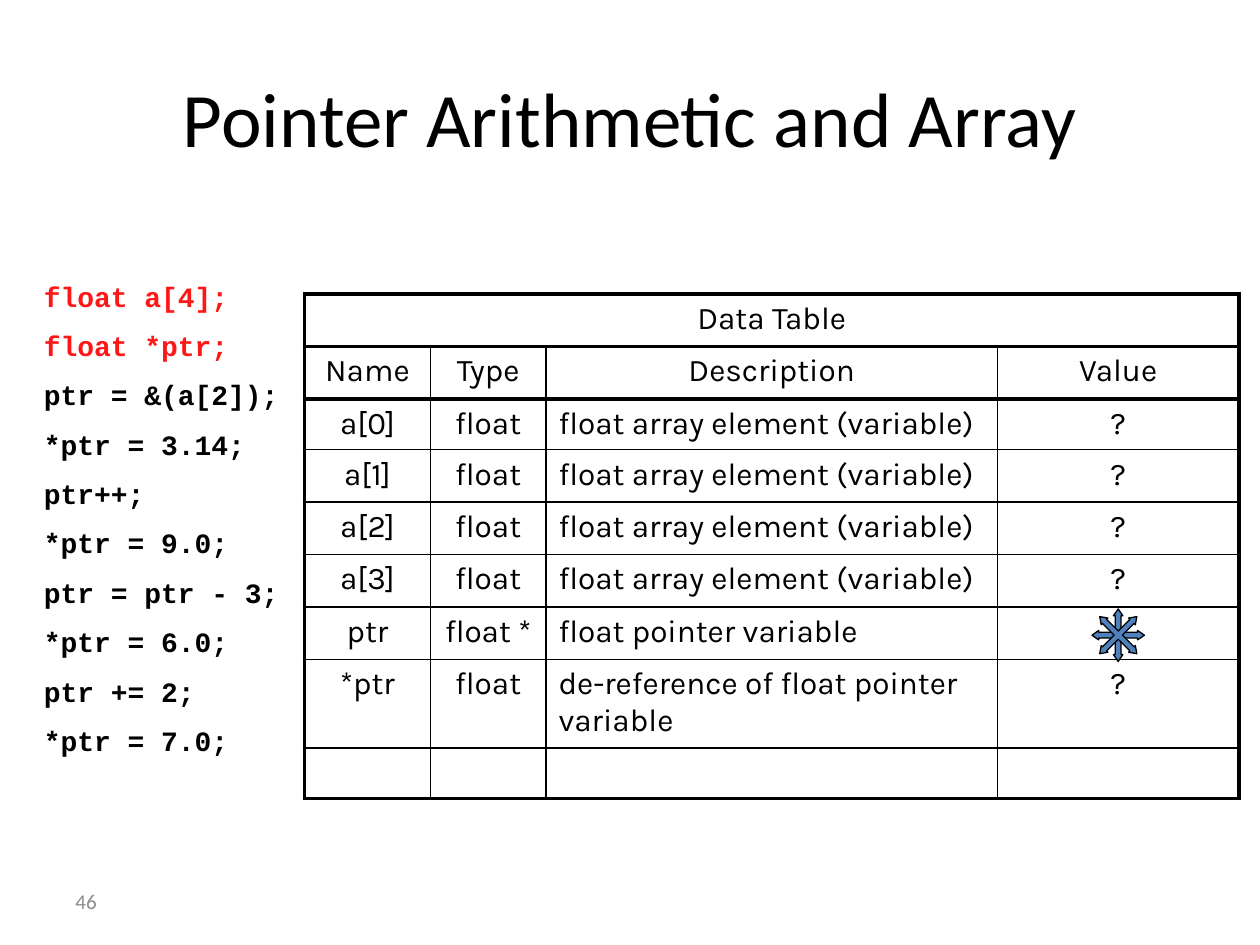
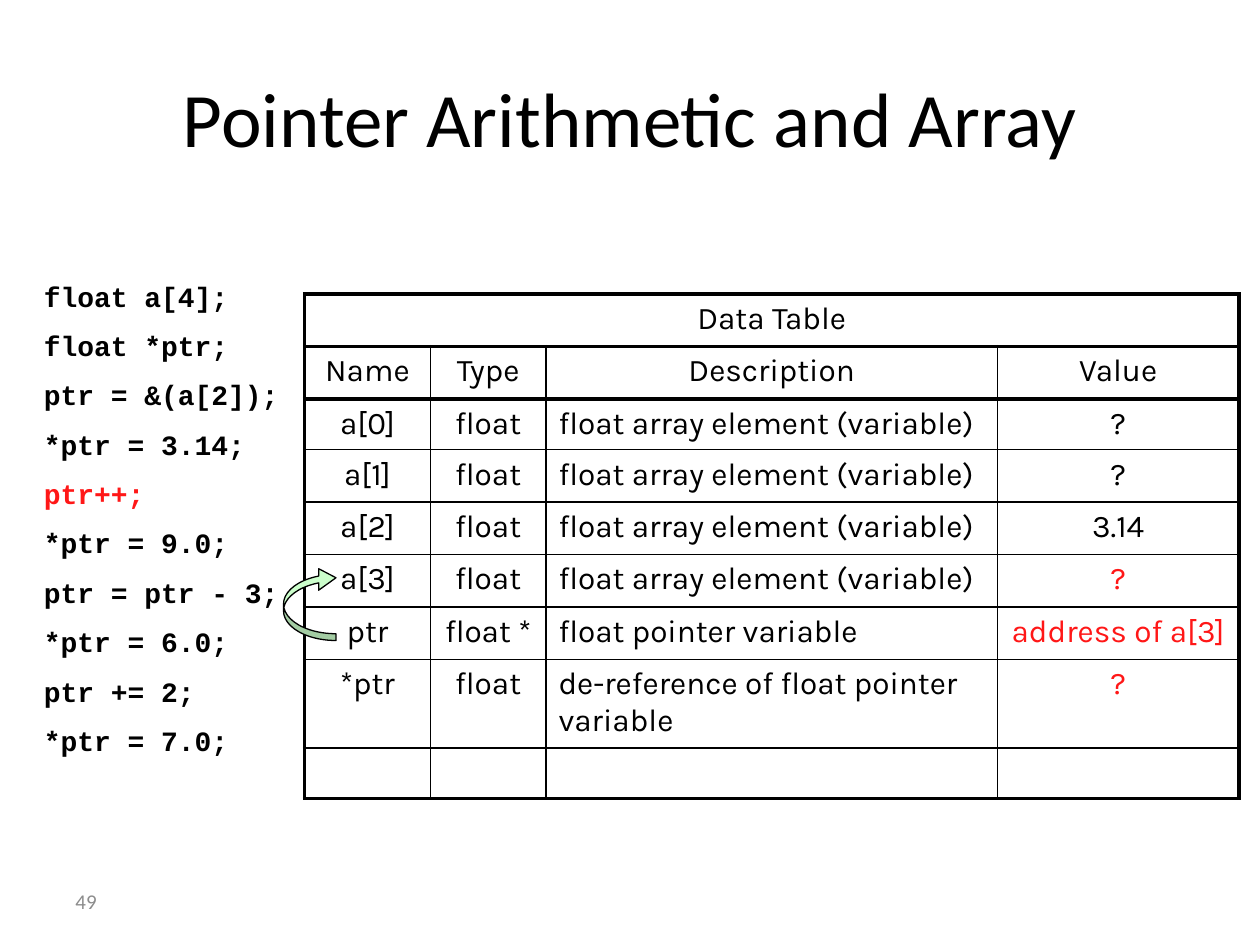
from lxml import etree
from pptx import Presentation
from pptx.dml.color import RGBColor
from pptx.enum import shapes, text
from pptx.oxml import ns
from pptx.util import Pt

BLACK = RGBColor(0x00, 0x00, 0x00)
RED = RGBColor(0xFF, 0x17, 0x17)
GREY = RGBColor(0x8C, 0x8C, 0x8C)
BLUE = RGBColor(0x4F, 0x81, 0xBD)
MINT = RGBColor(0xCC, 0xFF, 0xCC)

HEADING_FONT = "Calibri"
CODE_FONT = "Courier New"
TABLE_FONT = "Karla"

TITLE = "Pointer Arithmetic and Array"
TITLE_BOX = (36, 21.6, 648, 90)
CODE_BOX = (18, 156, 672, 286.5)
NUMBER_BOX = (36, 500.5, 168, 28.8)
TABLE_ORIGIN = (174, 168)

CODE = [
    "float a[4];",
    "float *ptr;",
    "ptr = &(a[2]);",
    "*ptr = 3.14;",
    "ptr++;",
    "*ptr = 9.0;",
    "ptr = ptr - 3;",
    "*ptr = 6.0;",
    "ptr += 2;",
    "*ptr = 7.0;",
]

ELEMENT = "float array element (variable)"
VARIABLES = [
    ("a[0]", "float", ELEMENT),
    ("a[1]", "float", ELEMENT),
    ("a[2]", "float", ELEMENT),
    ("a[3]", "float", ELEMENT),
    ("ptr", "float *", "float pointer variable"),
    ("*ptr", "float", "de-reference of float pointer variable"),
    ("", "", ""),
]
HEADINGS = ("Name", "Type", "Description", "Value")
COLUMN_WIDTHS = [72, 66, 258, 138]
ROW_HEIGHTS = [30, 30, 29, 30, 30, 30, 30, 50, 29]
DESCRIPTION, VALUE = 2, 3
POINTER_ROW = 6
THICK, THIN = 2.25, 1
THICK_RULES = {0, 1, 2, len(ROW_HEIGHTS)}


def points(box):
    return [Pt(length) for length in box]


def write(paragraph, content, font=TABLE_FONT, size=18, color=BLACK, bold=False,
          align=text.PP_ALIGN.LEFT, space_before=0):
    paragraph.alignment = align
    paragraph.space_before = Pt(space_before)
    run = paragraph.add_run()
    run.text = content
    run.font.name = font
    run.font.size = Pt(size)
    run.font.bold = bold
    run.font.color.rgb = color


def add_title(slide, box):
    title = slide.shapes.title
    title.left, title.top, title.width, title.height = points(box)
    title.text_frame.vertical_anchor = text.MSO_ANCHOR.MIDDLE
    write(title.text_frame.paragraphs[0], TITLE, font=HEADING_FONT, size=44,
          align=text.PP_ALIGN.CENTER)


def add_text_frame(slide, box):
    frame = slide.shapes.add_textbox(*points(box)).text_frame
    frame.word_wrap = True
    return frame


def add_number(slide, box, number):
    frame = add_text_frame(slide, box)
    frame.vertical_anchor = text.MSO_ANCHOR.MIDDLE
    write(frame.paragraphs[0], str(number), font=HEADING_FONT, size=12, color=GREY)


def add_code(slide, box, current_lines):
    """List the program, with the lines being executed in red."""
    frame = add_text_frame(slide, box)
    frame.auto_size = text.MSO_AUTO_SIZE.SHAPE_TO_FIT_TEXT
    for index, line in enumerate(CODE):
        paragraph = frame.add_paragraph() if index else frame.paragraphs[0]
        write(paragraph, line, font=CODE_FONT, size=16, bold=True,
              color=RED if line in current_lines else BLACK,
              space_before=9 if index else 0)


def set_borders(cell, left, right, top, bottom):
    """Give the cell black borders of the given widths."""
    properties = cell._tc.get_or_add_tcPr()
    widths = {"a:lnL": left, "a:lnR": right, "a:lnT": top, "a:lnB": bottom}
    for position, (tag, width) in enumerate(widths.items()):
        line = etree.Element(ns.qn(tag), w=str(Pt(width)))
        fill = etree.SubElement(line, ns.qn("a:solidFill"))
        etree.SubElement(fill, ns.qn("a:srgbClr"), val=str(BLACK))
        properties.insert(position, line)


def add_data_table(slide, origin, values, changed_rows):
    """Show the variables with their values, changed values in red."""
    rows = [("Data Table", "", "", ""), HEADINGS]
    rows += [(*variable, value) for variable, value in zip(VARIABLES, values)]
    box = (*origin, sum(COLUMN_WIDTHS), sum(ROW_HEIGHTS))
    table = slide.shapes.add_table(len(rows), len(HEADINGS), *points(box)).table
    table.first_row = table.horz_banding = False
    for column, width in zip(table.columns, COLUMN_WIDTHS):
        column.width = Pt(width)
    for row, height in zip(table.rows, ROW_HEIGHTS):
        row.height = Pt(height)
    table.cell(0, 0).merge(table.cell(0, VALUE))

    for r, row in enumerate(rows):
        for c, content in enumerate(row):
            cell = table.cell(r, c)
            cell.fill.background()
            set_borders(cell,
                        left=THICK if r == 0 or c == 0 else THIN,
                        right=THICK if r == 0 or c == VALUE else THIN,
                        top=THICK if r in THICK_RULES else THIN,
                        bottom=THICK if r + 1 in THICK_RULES else THIN)
            if cell.is_spanned:
                continue
            is_description = c == DESCRIPTION and r > 1
            write(cell.text_frame.paragraphs[0], content,
                  color=RED if c == VALUE and r in changed_rows else BLACK,
                  align=text.PP_ALIGN.LEFT if is_description else text.PP_ALIGN.CENTER)


def add_arrow(container, kind, box, fill, rotation, adjustments):
    arrow = container.shapes.add_shape(kind, *points(box))
    arrow.shadow.inherit = False
    arrow.fill.solid()
    arrow.fill.fore_color.rgb = fill
    arrow.line.color.rgb = BLACK
    arrow.line.width = Pt(0.75)
    arrow.rotation = rotation
    for index, value in enumerate(adjustments):
        arrow.adjustments[index] = value


def add_unknown_address(slide, origin):
    """Put arrows in all eight directions in the value cell of ptr."""
    size = 30
    left = origin[0] + sum(COLUMN_WIDTHS[:VALUE]) + (COLUMN_WIDTHS[VALUE] - size) / 2
    top = origin[1] + sum(ROW_HEIGHTS[:POINTER_ROW]) + 1
    group = slide.shapes.add_group_shape()
    for rotation in (0, 45):
        add_arrow(group, shapes.MSO_SHAPE.QUAD_ARROW, (left, top, size, size), BLUE,
                  rotation, (0.11, 0.09, 0.13))


def add_pointer_arrow(slide, origin):
    """Lead from the name ptr to the element in the row above it."""
    top = origin[1] + sum(ROW_HEIGHTS[:POINTER_ROW]) - 23
    add_arrow(slide, shapes.MSO_SHAPE.CURVED_LEFT_ARROW, (origin[0] - 12, top, 30, 42),
              MINT, 180, (0.13, 0.41, 0.33))


def add_step(presentation, number, current_lines, values, changed_rows=()):
    """Add a slide for one step of the program."""
    slide = presentation.slides.add_slide(presentation.slide_layouts[5])
    add_number(slide, NUMBER_BOX, number)
    add_title(slide, TITLE_BOX)
    add_code(slide, CODE_BOX, current_lines)
    add_data_table(slide, TABLE_ORIGIN, values, changed_rows)
    return slide


def main():
    presentation = Presentation()
    presentation.slide_width, presentation.slide_height = Pt(720), Pt(540)

    declaration = add_step(presentation, 46, CODE[:2], ["?", "?", "?", "?", "", "?", ""])
    add_unknown_address(declaration, TABLE_ORIGIN)

    increment = add_step(presentation, 49, ["ptr++;"],
                         ["?", "?", "3.14", "?", "address of a[3]", "?", ""],
                         changed_rows=(5, 6, 7))
    add_pointer_arrow(increment, TABLE_ORIGIN)

    presentation.save("out.pptx")


if __name__ == "__main__":
    main()
